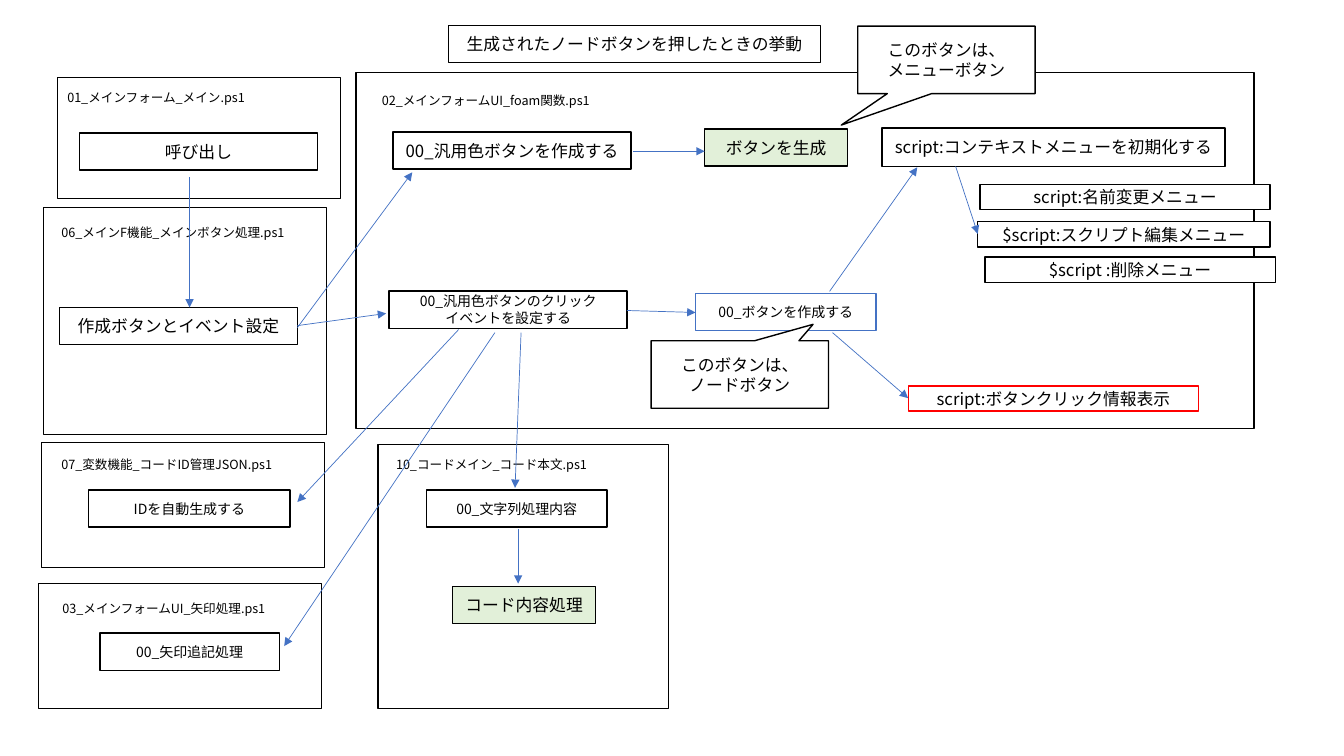
from lxml import etree
from pptx import Presentation
from pptx import util as u
from pptx.dml import color
from pptx.enum import shapes, text
from pptx.oxml import ns

FONT = "Noto Sans CJK JP"
BLACK, WHITE, BLUE, RED, GREEN = "000000", "FFFFFF", "4472C4", "FF0000", "E2F0D9"

REGIONS = [
    ((41, 55.4, 202.3, 86.4), "01_メインフォーム_メイン.ps1", (0, 5, 141.8), [
        ("呼び出し", (15.8, 39.6, 170, 26.6), {}),
    ]),
    ((31, 148.3, 202.3, 162), "06_メインF機能_メインボタン処理.ps1", (5.8, 8.6, 175), [
        ("作成ボタンとイベント設定", (11.5, 71.3, 170, 26.6), {}),
    ]),
    ((254.2, 51.8, 641.5, 254.2), "02_メインフォームUI_foam関数.ps1", (11.5, 10.8, 163.4), [
        ("00_汎用色ボタンを作成する", (26.6, 42.5, 170, 26.6), {}),
        ("00_汎用色ボタンのクリック\nイベントを設定する", (23.8, 156.2, 170, 26.6), {"size": 10}),
        ("ボタンを生成", (249.1, 40.3, 102.2, 26.6), {"fill": GREEN}),
        ("00_ボタンを作成する", (242.6, 157.7, 128.9, 26.6), {"size": 10, "line": BLUE}),
        ("script:コンテキストメニューを初期化する", (375.8, 39.6, 245, 27.4), {}),
        ("script:名前変更メニュー", (445.7, 79.9, 207.4, 18), {}),
        ("$script:スクリプト編集メニュー", (444.2, 106.6, 208.8, 18), {}),
        ("$script :削除メニュー", (449.3, 131.8, 207.4, 18), {}),
        ("script:ボタンクリック情報表示", (394.6, 223.9, 207.4, 18), {"line": RED}),
    ]),
    ((29.5, 316.1, 202.3, 89.3), "07_変数機能_コードID管理JSON.ps1", (7.2, 6.5, 165.6), [
        ("IDを自動生成する", (33.8, 33.8, 144, 26.6), {"size": 10}),
    ]),
    ((270, 317.5, 207.4, 188.6), "10_コードメイン_コード本文.ps1", (5.8, 5, 156.2), [
        ("00_文字列処理内容", (34.6, 32.4, 128.9, 26.6), {"size": 10}),
        ("コード内容処理", (53.3, 101.5, 102.2, 26.6), {"fill": GREEN}),
    ]),
    ((27.4, 416.9, 202.3, 89.3), "03_メインフォームUI_矢印処理.ps1", (10.1, 8.6, 160.6), [
        ("00_矢印追記処理", (43.9, 35.3, 128.2, 26.6), {"size": 10}),
    ]),
]

ARROWS = [
    (135.4, 126.7, 135.4, 219.6),
    (212.4, 234, 294.5, 123.1),
    (212.4, 232.6, 275.8, 223.9),
    (452.2, 108, 503.3, 108),
    (327.6, 235.4, 212.4, 358.6),
    (447.8, 221.8, 496.8, 223.2),
    (372.2, 237.6, 367.9, 348.5),
    (370.1, 378, 370.1, 416.9),
    (353.5, 237.6, 203, 461.5),
    (592.6, 208.1, 655.2, 119.5),
    (682.6, 118.8, 698.4, 167),
    (594.7, 237.6, 648.7, 284.4),
]

CALLOUTS = [
    ("このボタンは、\nメニューボタン", (612.7, 18.7, 126.7, 48.2), (-0.593, 0.967)),
    ("このボタンは、\nノードボタン", (465.1, 243.4, 126.7, 48.2), (0.413, -0.743)),
]


def points(values):
    """Turn numbers into lengths in points."""
    return [u.Pt(value) for value in values]


def rgb(value):
    """Turn a hex string into a colour."""
    return color.RGBColor.from_string(value)


def write(shape, words, size=12, align=text.PP_ALIGN.CENTER, anchor=text.MSO_ANCHOR.MIDDLE,
          wrap=True, fit=text.MSO_AUTO_SIZE.NONE):
    """Write one paragraph per line of words into a shape."""
    frame = shape.text_frame
    frame.word_wrap, frame.auto_size, frame.vertical_anchor = wrap, fit, anchor
    for index, line in enumerate(words.split("\n")):
        para = frame.add_paragraph() if index else frame.paragraphs[0]
        para.alignment = align
        span = para.add_run()
        span.text = line
        span.font.size, span.font.name = u.Pt(size), FONT
        span.font.color.rgb = rgb(BLACK)
        etree.SubElement(span.font._element, ns.qn("a:ea"), typeface=FONT)


def paint(shape, fill=WHITE, line=BLACK):
    """Give a shape its fill and a one-point outline."""
    shape.fill.solid()
    shape.fill.fore_color.rgb = rgb(fill)
    shape.line.color.rgb = rgb(line)
    shape.line.width = u.Pt(1)


def add_box(page, box, words="", size=12, fill=WHITE, line=BLACK,
            kind=shapes.MSO_SHAPE.RECTANGLE):
    """Add an outlined shape with centred text."""
    shape = page.shapes.add_shape(kind, *points(box))
    shape.shadow.inherit = False
    paint(shape, fill, line)
    if words:
        write(shape, words, size)
    return shape


def add_title(page, box, words):
    """Move the title placeholder to the box and format it."""
    title = page.shapes.title
    title.left, title.top, title.width, title.height = points(box)
    paint(title)
    write(title, words)


def add_region(page, box, label, label_place, steps):
    """Draw one script file as a frame with its label and steps."""
    left, top = box[:2]
    add_box(page, box)
    across, down, width = label_place
    caption = page.shapes.add_textbox(*points((left + across, top + down, width, 18)))
    write(caption, label, size=9, align=text.PP_ALIGN.LEFT, anchor=text.MSO_ANCHOR.TOP,
          wrap=False, fit=text.MSO_AUTO_SIZE.SHAPE_TO_FIT_TEXT)
    for words, (across, down, width, height), style in steps:
        add_box(page, (left + across, top + down, width, height), words, **style)


def add_arrow(page, ends):
    """Draw a thin blue arrow between two points."""
    arrow = page.shapes.add_connector(shapes.MSO_CONNECTOR.STRAIGHT, *points(ends))
    arrow.line.color.rgb = rgb(BLUE)
    arrow.line.width = u.Pt(0.5)
    etree.SubElement(arrow.line._get_or_add_ln(), ns.qn("a:tailEnd"), type="triangle")
    etree.SubElement(arrow._element.spPr, ns.qn("a:effectLst"))


def add_callout(page, box, words, tip):
    """Add a speech box whose tip is relative to its centre."""
    callout = add_box(page, box, words, kind=shapes.MSO_SHAPE.RECTANGULAR_CALLOUT)
    callout.adjustments[0], callout.adjustments[1] = tip


def main():
    """Build and save the deck."""
    deck = Presentation()
    deck.slide_width, deck.slide_height = points((960, 540))
    page = deck.slides.add_slide(deck.slide_layouts.get_by_name("Title Only"))
    add_title(page, (320.4, 18, 265.7, 26.6), "生成されたノードボタンを押したときの挙動")
    for region in REGIONS:
        add_region(page, *region)
    for ends in ARROWS:
        add_arrow(page, ends)
    for words, box, tip in CALLOUTS:
        add_callout(page, box, words, tip)
    deck.save("out.pptx")


if __name__ == "__main__":
    main()
